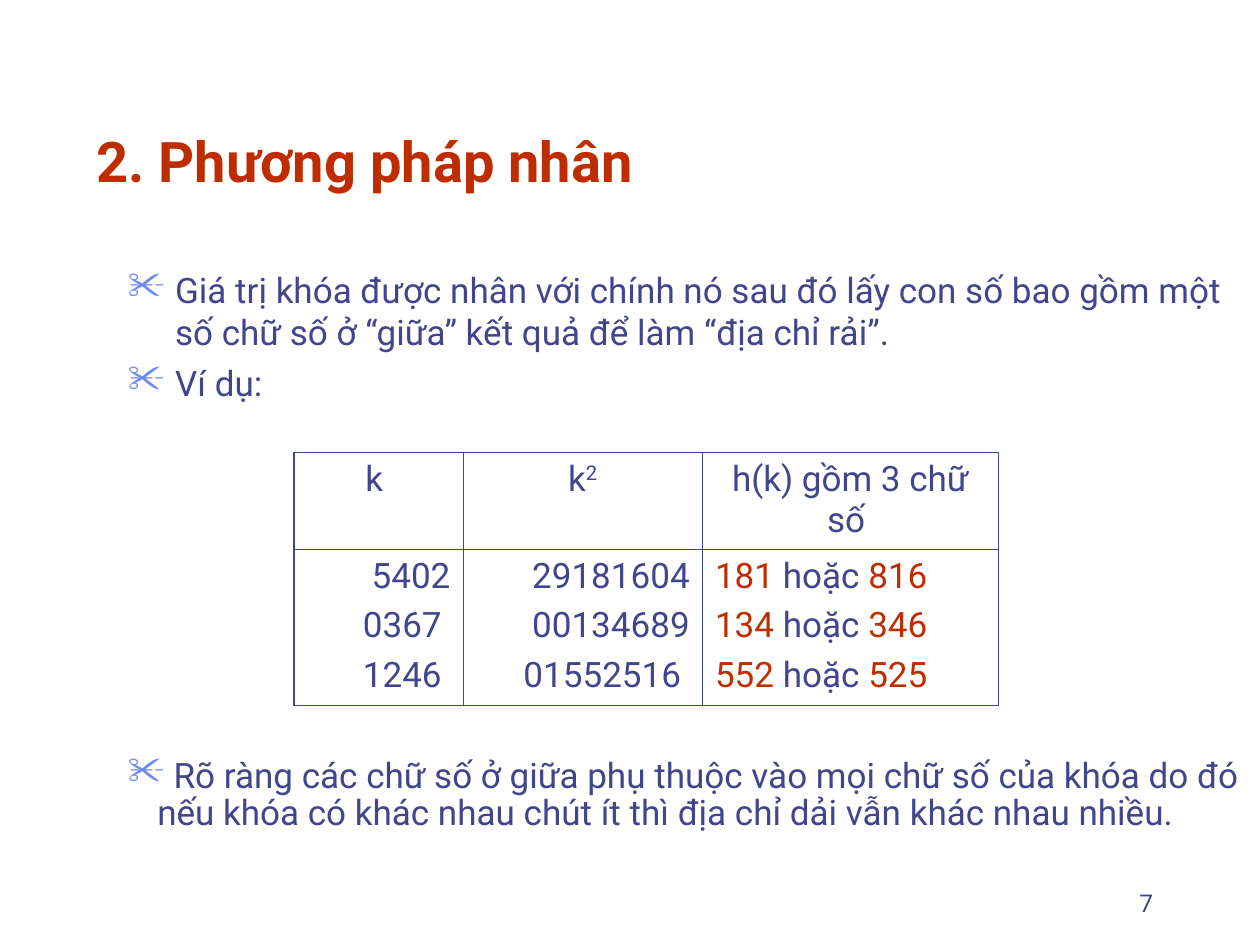
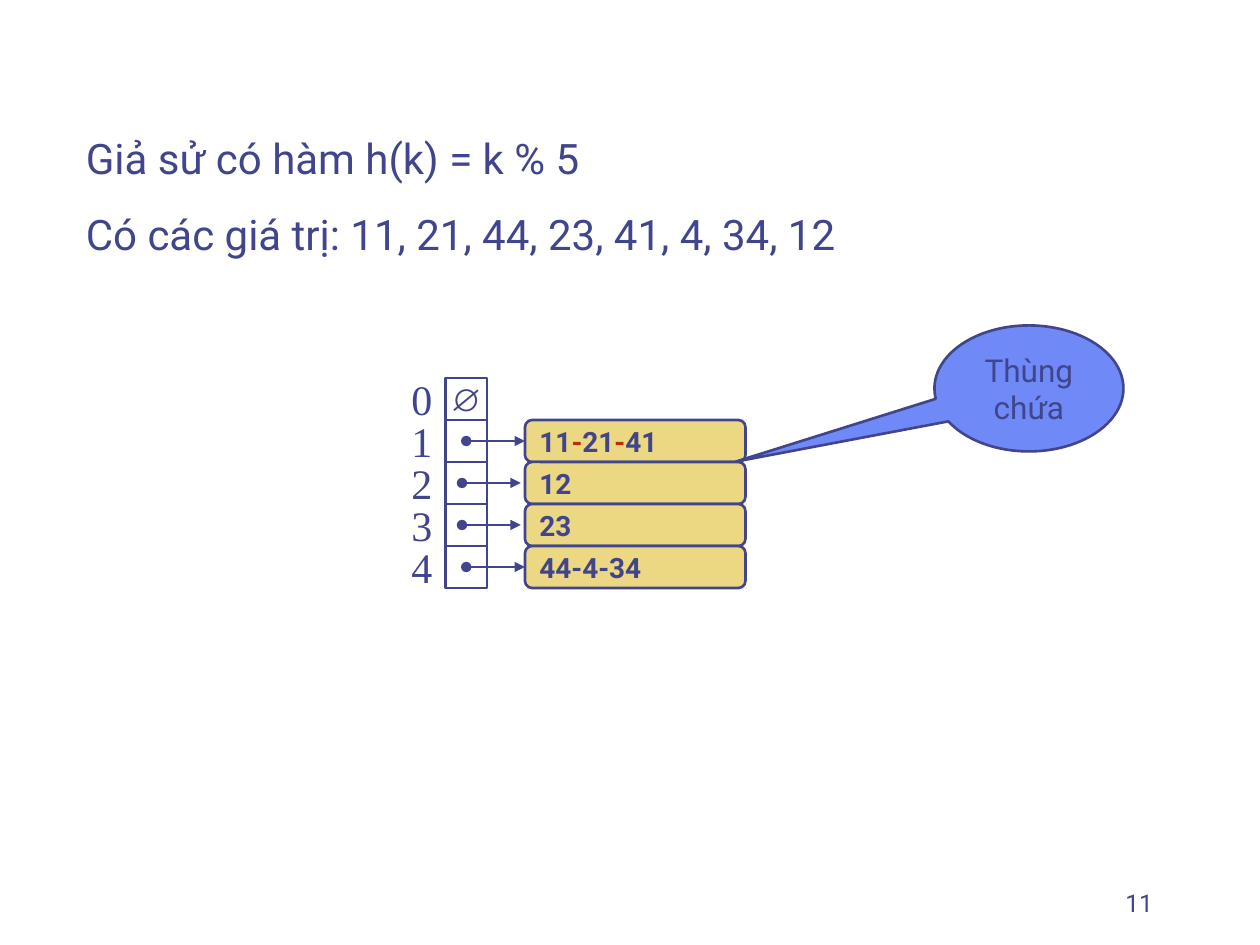
from dataclasses import dataclass

from lxml import etree
from pptx import Presentation
from pptx import util as u
from pptx.dml.color import RGBColor
from pptx.enum import shapes, text
from pptx.oxml import ns

COLUMNS, ROWS = 120, 90  # grid of the slide
CELL = u.Inches(10) // COLUMNS
ALIGN, ANCHOR, SHAPE = text.PP_ALIGN, text.MSO_ANCHOR, shapes.MSO_SHAPE


@dataclass(frozen=True)
class Theme:
    ink: str = "40458C"
    accent: str = "BE2D00"
    sky: str = "6F89F7"
    sand: str = "ECD882"
    font: str = "Roboto"
    symbol_font: str = "Arial"
    index_font: str = "Times New Roman"
    title: int = 32
    lead: int = 24
    body: int = 20
    label: int = 18
    key: int = 16
    footer: int = 14
    line: float = 1.5
    frame: float = 1.08
    rule: float = 0.45


THEME = Theme()


def grid(*cells):
    """Turn grid columns or rows into lengths."""
    return [u.Emu(round(n * CELL)) for n in cells]


def rgb(code):
    return RGBColor.from_string(code)


def node(parent, tag, **attributes):
    return etree.SubElement(parent, ns.qn(tag), attributes)


# Text
def write(frame, paragraphs, size=THEME.body, font=THEME.font, color=THEME.ink, bold=False,
          align=ALIGN.LEFT, anchor=ANCHOR.TOP, before=0, wrap=True):
    """Each paragraph is a list of runs; a run is a string or (string, colour)."""
    frame.word_wrap = wrap
    frame.vertical_anchor = anchor
    for number, runs in enumerate(paragraphs):
        paragraph = frame.add_paragraph() if number else frame.paragraphs[0]
        paragraph.alignment = align
        paragraph.space_before = u.Pt(before)
        for item in runs:
            wording, tint = (item, color) if isinstance(item, str) else item
            run = paragraph.add_run()
            run.text = wording
            run.font.size, run.font.name, run.font.bold = u.Pt(size), font, bold
            run.font.color.rgb = rgb(tint)


def add_text(slide, place, paragraphs, **style):
    frame = slide.shapes.add_textbox(*grid(*place)).text_frame
    write(frame, paragraphs, **style)
    return frame


def add_bullets(slide, place, paragraphs, indent, spacing=1.0):
    frame = add_text(slide, place, paragraphs, before=5)
    margin = grid(indent)[0]
    for paragraph in frame.paragraphs:
        paragraph.line_spacing = spacing
        properties = paragraph._p.get_or_add_pPr()
        properties.set("marL", str(margin))
        properties.set("indent", str(-margin))
        node(node(properties, "a:buClr"), "a:srgbClr", val=THEME.sky)
        node(properties, "a:buSzPct", val="110000")
        node(properties, "a:buChar", char="✂")


def add_page_number(slide, number):
    add_text(slide, (86, 82, 25, 6), [[str(number)]], size=THEME.footer,
             align=ALIGN.RIGHT, anchor=ANCHOR.BOTTOM)


# Shapes and arrows
def add_box(slide, kind, place, fill=None, adjust=()):
    box = slide.shapes.add_shape(kind, *grid(*place))
    box.shadow.inherit = False
    if fill:
        box.fill.solid()
        box.fill.fore_color.rgb = rgb(fill)
    else:
        box.fill.background()
    box.line.color.rgb = rgb(THEME.ink)
    box.line.width = u.Pt(THEME.line)
    for index, value in enumerate(adjust):
        box.adjustments[index] = value
    return box


def add_pointer(slide, start, end, y, target=None):
    pointer = slide.shapes.add_connector(shapes.MSO_CONNECTOR.STRAIGHT, *grid(start, y, end, y))
    pointer.line.color.rgb = rgb(THEME.ink)
    pointer.line.width = u.Pt(THEME.line)
    line = pointer.line._get_or_add_ln()
    node(line, "a:headEnd", type="oval")
    node(line, "a:tailEnd", type="triangle")
    node(pointer._element.spPr, "a:effectLst")
    if target:
        pointer.end_connect(target, 1)


# Table
def set_borders(cell, widths):
    """Widths are given for left, right, top and bottom."""
    properties = cell._tc.get_or_add_tcPr()
    for index, (side, width) in enumerate(zip("LRTB", widths)):
        line = etree.Element(ns.qn(f"a:ln{side}"), w=str(u.Pt(width)))
        node(node(line, "a:solidFill"), "a:srgbClr", val=THEME.ink)
        properties.insert(index, line)


def add_hash_table(slide, origin, widths, heights, cells, aligns):
    table = slide.shapes.add_table(len(heights), len(widths),
                                   *grid(*origin, sum(widths), sum(heights))).table
    table.first_row = table.horz_banding = False
    for column, width in zip(table.columns, grid(*widths)):
        column.width = width
    for row, height in zip(table.rows, grid(*heights)):
        row.height = height
    last_row, last_column = len(heights) - 1, len(widths) - 1
    for r, row_cells in enumerate(cells):
        for c, paragraphs in enumerate(row_cells):
            cell = table.cell(r, c)
            cell.fill.background()
            write(cell.text_frame, paragraphs, align=aligns[r][c], before=5)
            edges = (c == 0, c == last_column, r == 0, r == last_row)
            set_borders(cell, [THEME.frame if edge else THEME.rule for edge in edges])
    return table


# Slides
def build_multiplication(slide):
    add_page_number(slide, 7)
    add_text(slide, (8, 4, 102, 15), [["2. Phương pháp nhân"]], size=THEME.title,
             color=THEME.accent, bold=True, anchor=ANCHOR.BOTTOM)
    add_bullets(slide, (11, 25, 107, 14), [
        ["Giá trị khóa được nhân với chính nó sau đó lấy con số bao gồm một số chữ số ở "
         "“giữa” kết quả để làm “địa chỉ rải”."],
        ["Ví dụ:"],
    ], indent=4.5)

    addresses = [("181", "816"), ("134", "346"), ("552", "525")]
    header = [[["k "]], [["k", "2"]], [["h(k) gồm 3 chữ số "]]]
    values = [
        [["5402"], ["0367 "], ["1246 "]],
        [["29181604"], ["00134689"], ["01552516 "]],
        [[(first, THEME.accent), " hoặc ", (second, THEME.accent)] for first, second in addresses],
    ]
    table = add_hash_table(slide, (28, 43.1), (16.1, 22.8, 28.2), (9.2, 14.9), [header, values],
                           [[ALIGN.CENTER] * 3, [ALIGN.RIGHT, ALIGN.RIGHT, ALIGN.LEFT]])
    exponent = table.cell(0, 1).text_frame.paragraphs[0].runs[1]
    exponent._r.get_or_add_rPr().set("baseline", "30000")

    add_bullets(slide, (11, 71.6, 109, 12), [
        [" Rõ ràng các chữ số ở giữa phụ thuộc vào mọi chữ số của khóa do đó nếu khóa có "
         "khác nhau chút ít thì địa chỉ dải vẫn khác nhau nhiều."],
    ], indent=2.8, spacing=0.9)


def build_buckets(slide):
    add_page_number(slide, 11)
    add_text(slide, (7, 12, 103, 13.3), [
        ["Giả sử có hàm h(k) = k % 5"],
        ["Có các giá trị: 11, 21, 44, 23, 41, 4, 34, 12"],
    ], size=THEME.lead, align=ALIGN.JUSTIFY, before=15)

    # Hash slots, each with its bucket of keys
    dash = ("-", THEME.accent)
    buckets = [None, ["11", dash, "21", dash, "41"], ["12"], ["23"], ["44-4-34"]]
    joined = (1, 4)
    top, step = 36, 4
    for index, keys in enumerate(buckets):
        y = top + index * step
        slot = add_box(slide, SHAPE.RECTANGLE, (42.4, y, step, step))
        add_text(slide, (38, y - 1, 4.3, 6), [[str(index)]], size=THEME.lead,
                 font=THEME.index_font, align=ALIGN.CENTER, wrap=False)
        if keys is None:
            write(slot.text_frame, [["∅"]], size=THEME.label, font=THEME.symbol_font,
                  align=ALIGN.CENTER, anchor=ANCHOR.MIDDLE, wrap=False)
            continue
        bucket = add_box(slide, SHAPE.ROUNDED_RECTANGLE, (50, y, 21, step), THEME.sand, [0.17])
        write(bucket.text_frame, [keys], size=THEME.key, bold=True, align=ALIGN.JUSTIFY,
              anchor=ANCHOR.MIDDLE, wrap=False)
        if index in joined:
            add_pointer(slide, 44.4, 50, y + step / 2, bucket)
        else:
            add_pointer(slide, 44, 49.6, y + step / 2)

    # Callout naming the bucket
    callout = add_box(slide, SHAPE.OVAL_CALLOUT, (89, 31, 18, 12), THEME.sky, [-1.55, 0.58])
    write(callout.text_frame, [["Thùng chứa"]], size=THEME.label, align=ALIGN.CENTER,
          anchor=ANCHOR.MIDDLE)


def main():
    deck = Presentation()
    deck.slide_width, deck.slide_height = grid(COLUMNS, ROWS)
    for build in (build_multiplication, build_buckets):
        build(deck.slides.add_slide(deck.slide_layouts[6]))
    deck.save("out.pptx")


if __name__ == "__main__":
    main()
